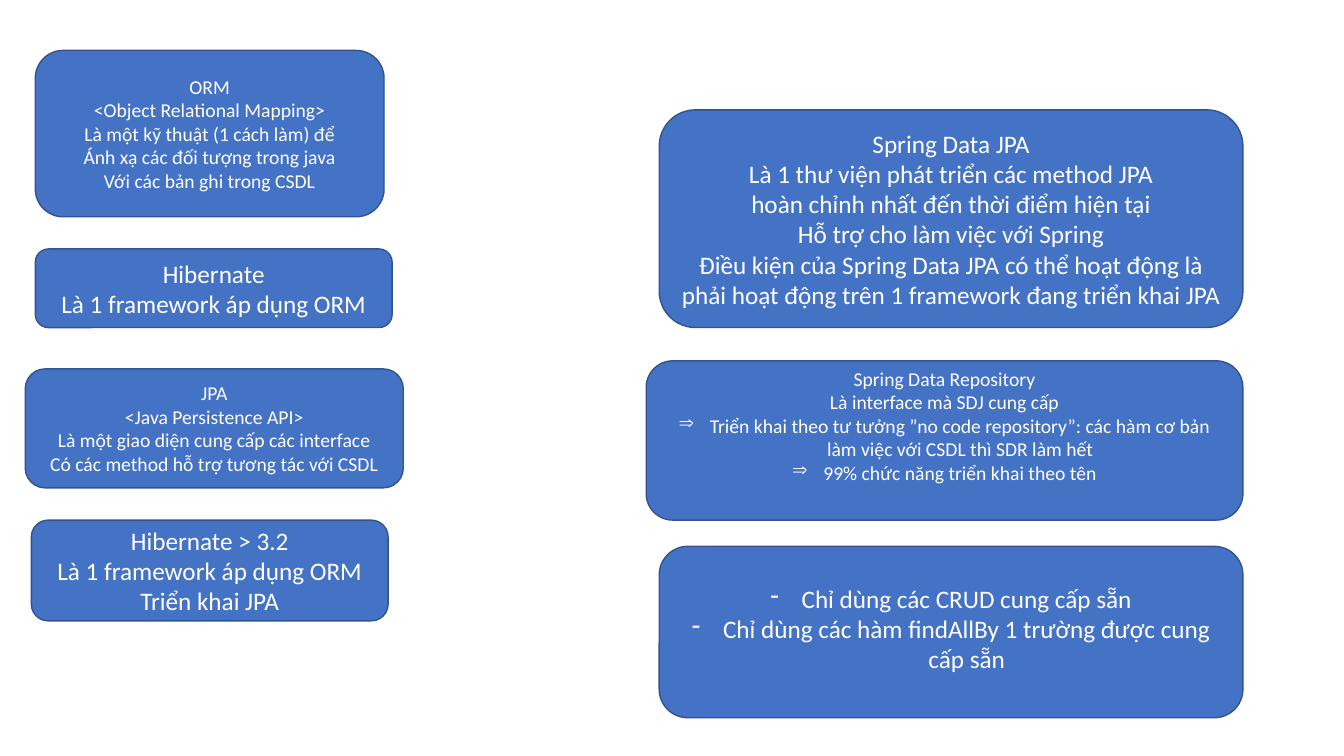
from lxml import etree
from pptx import Presentation, util as u
from pptx.dml.color import RGBColor
from pptx.enum import shapes, text
from pptx.oxml.ns import qn

HUES = {"fill": "4472C4", "line": "31538F", "text": "FFFFFF"}
WIDE, HIGH = 13.33, 7.5

CARDS = [
    ((2.63, 6.67, 25.95, 22), 14, 0.05, [
        ("", "ORM"),
        ("", "<Object Relational Mapping>"),
        ("", "Là một kỹ thuật (1 cách làm) để"),
        ("", "Ánh xạ các đối tượng trong java"),
        ("", "Với các bản ghi trong CSDL")]),
    ((2.63, 32.93, 26.55, 10.4), 18, 0.05, [
        ("", "Hibernate"),
        ("", "Là 1 framework áp dụng ORM")]),
    ((1.88, 48.8, 28.13, 15.73), 14, 0.05, [
        ("", "JPA"),
        ("", "<Java Persistence API>"),
        ("", "Là một giao diện cung cấp các interface"),
        ("", "Có các method hỗ trợ tương tác với CSDL")]),
    ((2.33, 68.8, 26.55, 13.33), 18, 0.05, [
        ("", "Hibernate > 3.2"),
        ("", "Là 1 framework áp dụng ORM"),
        ("", "Triển khai JPA")]),
    ((49.05, 14.53, 43.43, 28.8), 18, 0.05, [
        ("", "Spring Data JPA"),
        ("", "Là 1 thư viện phát triển các method JPA"),
        ("", "hoàn chỉnh nhất đến thời điểm hiện tại"),
        ("", "Hỗ trợ cho làm việc với Spring"),
        ("", "Điều kiện của Spring Data JPA có thể hoạt động là "
             "phải hoạt động trên 1 framework đang triển khai JPA")]),
    ((48.08, 47.73, 44.4, 21.07), 14, 0.35, [
        ("", "Spring Data Repository"),
        ("", "Là interface mà SDJ cung cấp"),
        ("⇒", "Triển khai theo tư tưởng ”no code repository”: "
              "các hàm cơ bản làm việc với CSDL thì SDR làm hết"),
        ("⇒", "99% chức năng triển khai theo tên")]),
    ((49.05, 72.27, 43.43, 22.67), 18, 0.12, [
        ("-", "Chỉ dùng các CRUD cung cấp sẵn"),
        ("-", "Chỉ dùng các hàm findAllBy 1 trường được cung cấp sẵn")]),
]


def hue(name):
    return RGBColor.from_string(HUES[name])


def style(item, form):
    for key, value in form.items():
        setattr(item, key, value)


def spot(box):
    left, top, width, height = box
    return (u.Inches(left * WIDE / 100), u.Inches(top * HIGH / 100),
            u.Inches(width * WIDE / 100), u.Inches(height * HIGH / 100))


def mark(para, sign):
    props = para._p.get_or_add_pPr()
    props.set("marL", str(u.Inches(0.31)))
    props.set("indent", str(-u.Inches(0.31)))
    etree.SubElement(props, qn("a:buChar")).set("char", sign)


def write(para, sign, words, size):
    if sign:
        mark(para, sign)
    para.alignment = text.PP_ALIGN.CENTER
    run = para.add_run()
    run.text = words
    style(run.font, {"name": "Calibri", "size": u.Pt(size)})
    run.font.color.rgb = hue("text")


def card(slide, box, size, base, lines):
    shape = slide.shapes.add_shape(
        shapes.MSO_SHAPE.ROUNDED_RECTANGLE, *spot(box))
    shape.shadow.inherit = False
    shape.fill.solid()
    shape.fill.fore_color.rgb = hue("fill")
    shape.line.color.rgb = hue("line")
    shape.line.width = u.Pt(1)
    frame = shape.text_frame
    style(frame, {
        "word_wrap": True,
        "vertical_anchor": text.MSO_ANCHOR.MIDDLE,
        "margin_left": u.Inches(0.1),
        "margin_right": u.Inches(0.1),
        "margin_top": u.Inches(0.05),
        "margin_bottom": u.Inches(base),
    })
    for row, (sign, words) in enumerate(lines):
        para = frame.add_paragraph() if row else frame.paragraphs[0]
        write(para, sign, words, size)


def main():
    deck = Presentation()
    style(deck, {"slide_width": u.Inches(WIDE),
                 "slide_height": u.Inches(HIGH)})
    slide = deck.slides.add_slide(deck.slide_layouts[6])
    for entry in CARDS:
        card(slide, *entry)
    deck.save("out.pptx")


if __name__ == "__main__":
    main()
